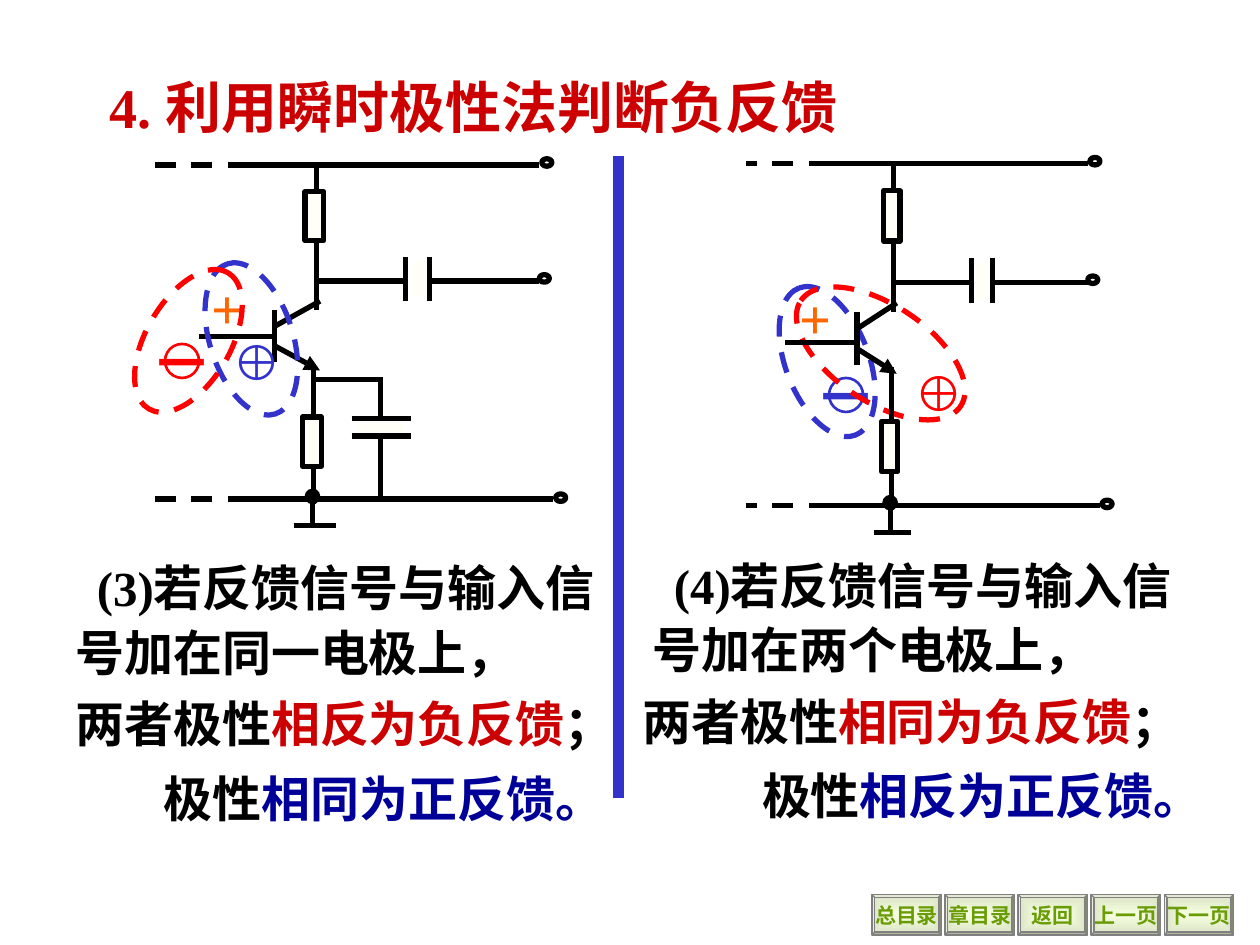
from lxml import etree
from pptx import Presentation
from pptx.dml.color import RGBColor
from pptx.enum.dml import MSO_LINE
from pptx.enum.shapes import MSO_CONNECTOR, MSO_SHAPE
from pptx.enum.text import MSO_ANCHOR, PP_ALIGN
from pptx.oxml.ns import qn
from pptx.util import Inches, Pt

STRAIGHT = MSO_CONNECTOR.STRAIGHT
OVAL, RECT, BEVEL = MSO_SHAPE.OVAL, MSO_SHAPE.RECTANGLE, MSO_SHAPE.BEVEL
DASH, MIDDLE, CENTER = MSO_LINE.DASH, MSO_ANCHOR.MIDDLE, PP_ALIGN.CENTER
SERIF, HAN = "Times New Roman", "Noto Sans CJK SC"
BLACK, WHITE, CREAM = "000000", "FFFFFF", "FFFFF7"
RED, BLUE, ORANGE = "FF0000", "3333CC", "FF6600"
CRIMSON, NAVY = "CC0000", "000099"
# Circuit layout is designed in inches for a box of this size
BASE_W, BASE_H = 3.33, 2.65


def color(hexa):
    return RGBColor.from_string(hexa)


def add_line(slide, x1, y1, x2, y2, hue=BLACK, width=3, dash=False, head=None, tail=None):
    line = slide.shapes.add_connector(STRAIGHT, *map(Inches, (x1, y1, x2, y2)))
    line.line.color.rgb = color(hue)
    line.line.width = Pt(width)
    if dash:
        line.line.dash_style = DASH
    for tag, kind in (("a:headEnd", head), ("a:tailEnd", tail)):
        if kind:
            etree.SubElement(line.line._get_or_add_ln(), qn(tag), type=kind)
    etree.SubElement(line._element.spPr, qn("a:effectLst"))
    return line


def add_shape(slide, kind, x, y, w, h, hue=BLACK, width=3, fill=None):
    shape = slide.shapes.add_shape(kind, *map(Inches, (x, y, w, h)))
    shape.shadow.inherit = False
    shape.line.color.rgb = color(hue)
    shape.line.width = Pt(width)
    if fill:
        shape.fill.solid()
        shape.fill.fore_color.rgb = color(fill)
    else:
        shape.fill.background()
    return shape


def write(frame, runs, size):
    """Fill the first paragraph with (text, font, colour) runs."""
    para = frame.paragraphs[0]
    para.font.size, para.font.bold = Pt(size), True
    for text, face, hue in runs:
        run = para.add_run()
        run.text = text
        run.font.size, run.font.bold = Pt(size), True
        run.font.name = face
        run.font.color.rgb = color(hue)
        etree.SubElement(run._r.get_or_add_rPr(), qn("a:ea"),
                         typeface=HAN if face == SERIF else face)
    return para


def add_text(slide, x, y, w, h, runs, size, wrap=True):
    box = slide.shapes.add_textbox(*map(Inches, (x, y, w, h)))
    box.text_frame.word_wrap = wrap
    return write(box.text_frame, runs, size)


def center(shape, runs, size):
    frame = shape.text_frame
    frame.word_wrap = False
    frame.vertical_anchor = MIDDLE
    write(frame, runs, size).alignment = CENTER


def add_circuit(slide, x, y, w, h, lead, bypass):
    """Draw the amplifier; lead is the start of the base wire, bypass adds the emitter capacitor."""
    kx, ky = w / BASE_W, h / BASE_H

    def wire(x1, y1, x2, y2, **style):
        add_line(slide, x + x1 * kx, y + y1 * ky, x + x2 * kx, y + y2 * ky, **style)

    def block(px, py, pw, ph, hue=BLACK):
        add_shape(slide, RECT, x + px * kx, y + py * ky, pw * kx, ph * ky, hue, 3, CREAM)

    wire(1.01, 1.15, 1.01, 1.56)                        # transistor
    wire(1.01, 1.28, 1.37, 1.08)
    wire(1.02, 1.44, 1.37, 1.63, tail="triangle")
    wire(1.32, 1.58, 1.32, 2.69)                        # emitter and collector
    wire(1.34, 1.15, 1.34, 0)
    wire(1.32, 0.92, 3.11, 0.92)
    for cx, cy in ((3.17, -0.02), (3.15, 0.9), (3.28, 2.64)):
        add_shape(slide, OVAL, x + cx * kx - 0.04, y + cy * ky - 0.03, 0.08, 0.06)
    for px, py in ((1.25, 0.21), (1.23, 2)):            # resistors
        block(px, py, 0.15, 0.39)
    if bypass:
        block(1.64, 2.03, 0.43, 0.11, WHITE)
        for py in (2.01, 2.15):
            wire(1.62, py, 2.09, py)
        wire(1.32, 1.7, 1.87, 1.7)
        wire(1.85, 1.7, 1.85, 2.02)
        wire(1.85, 2.15, 1.85, 2.65)
    block(2.07, 0.75, 0.15, 0.32, WHITE)                # output capacitor
    for px in (2.05, 2.24):
        wire(px, 0.73, px, 1.08)
    for end, py in ((3.11, 0), (3.22, 2.65)):           # supply rails
        wire(end, py, 0.64, py)
        wire(1.1, py, 0, py, dash=True)
    add_line(slide, *lead, x + 1.03 * kx, lead[1])
    wire(1.31, 2.63, 1.31, 2.88, head="oval")           # ground
    wire(1.16, 2.86, 1.5, 2.86)


def add_marks(slide, plus, minus, oplus, rings, hues):
    """Place polarity signs; hues are those of the minus and the circled plus."""
    add_text(slide, *plus, 0.58, 0.64, [("+", SERIF, ORANGE)], 32)
    sign = add_shape(slide, OVAL, *minus, 0.27, 0.27, hues[0], 1.5)
    center(sign, [("－", SERIF, hues[0])], 36)
    add_text(slide, *oplus, 0.51, 0.57, [("⊕", "Arial", hues[1])], 28, False)
    for hue, (x, y, w, h, turn) in zip((BLUE, RED), rings):
        ring = add_shape(slide, OVAL, x, y, w, h, hue)
        ring.rotation = turn
        ring.line.dash_style = DASH


def add_rule(slide, x, y, w, mark, place, neg, pos, shifts):
    """Write the rule; shifts are the left offsets of its last two lines."""
    lines = (
        (0, 0, 1.13, 0.17, [(mark, SERIF, BLACK),
                            (f"若反馈信号与输入信号加在{place}电极上，", HAN, BLACK)]),
        (shifts[0], 1.08, 0.62, 0, [("两者极性", HAN, BLACK),
                                    (f"{neg}为负反馈", HAN, CRIMSON), ("；", HAN, BLACK)]),
        (shifts[1], 1.67, 0.62, 0, [("极性", HAN, BLACK), (f"{pos}为正反馈。", HAN, NAVY)]),
    )
    for dx, dy, h, indent, runs in lines:
        para = add_text(slide, x + dx, y + dy, w, h, runs, 28)
        para.line_spacing, para.space_before = 1.1, Pt(3.5)
        if indent:
            para._p.get_or_add_pPr().set("indent", str(Inches(indent)))


def add_nav(slide, x, y, labels):
    for i, label in enumerate(labels):
        key = add_shape(slide, BEVEL, x + i * 0.58, y, 0.55, 0.32, "808080", 0.75)
        key.adjustments[0] = 0.07
        key.fill.gradient()
        for stop, hue in zip(key.fill.gradient_stops, ("F5FEDE", "DBE3C6")):
            stop.color.rgb = color(hue)
        grad = key._element.spPr.find(qn("a:gradFill"))
        grad.remove(grad.find(qn("a:lin")))
        shade = etree.SubElement(grad, qn("a:path"))
        shade.set("path", "rect")
        etree.SubElement(shade, qn("a:fillToRect"), dict.fromkeys("ltrb", "50000"))
        center(key, [(label, SERIF, "6A9C06")], 12)


def main():
    deck = Presentation()
    deck.slide_width, deck.slide_height = Inches(10), Inches(7.5)
    slide = deck.slides.add_slide(deck.slide_layouts[6])

    add_nav(slide, 6.92, 7.1, ("总目录", "章目录", "返回", "上一页", "下一页"))
    add_circuit(slide, 1.17, 1.31, BASE_W, BASE_H, (1.58, 2.67), True)
    add_text(slide, 0.77, 0.53, 7.5, 0.64,
             [("4. ", SERIF, CRIMSON), ("利用瞬时极性法判断负反馈", HAN, CRIMSON)], 32)
    add_line(slide, 4.91, 1.24, 4.91, 6.33, BLUE, 6)
    add_marks(slide, (1.58, 2.12), (1.31, 2.73), (1.75, 2.58),
              ((1.37, 2.36, 1.25, 0.66, 72.3), (0.87, 2.37, 1.25, 0.67, 120.1)), (RED, BLUE))
    add_marks(slide, (6.25, 2.2), (6.58, 3), (7.16, 2.83),
              ((5.94, 2.54, 1.25, 0.66, 69), (6.23, 2.42, 1.52, 0.77, 33.4)), (BLUE, RED))
    add_rule(slide, 0.5, 4.33, 4.58, "(3)", "同一", "相反", "相同", (0, 0.7))
    add_rule(slide, 5.08, 4.31, 4.67, "(4)", "两个", "相同", "相反", (-0.08, 0.87))
    add_circuit(slide, 5.92, 1.3, 2.91, 2.71, (6.23, 2.72), False)
    deck.save("out.pptx")


if __name__ == "__main__":
    main()
